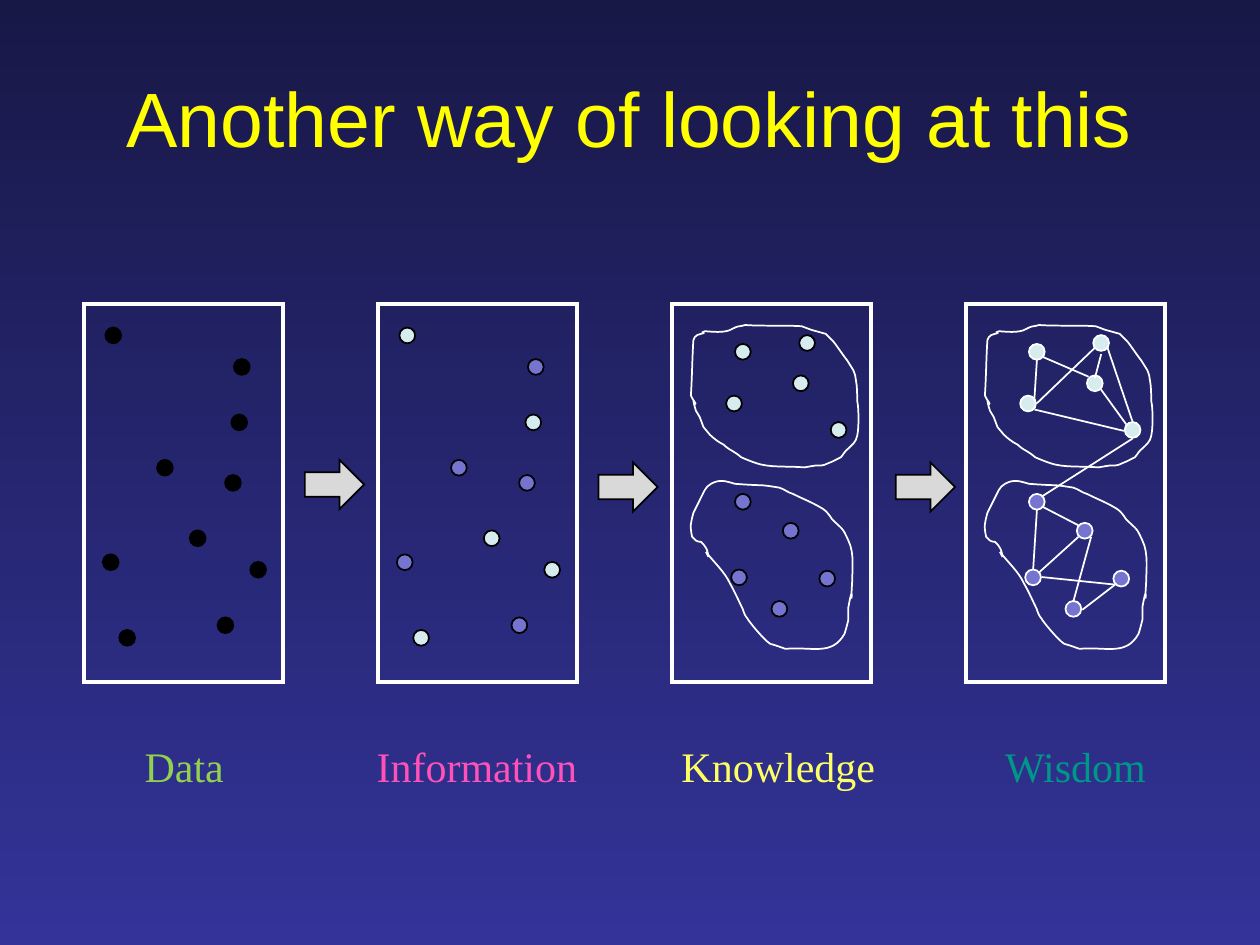
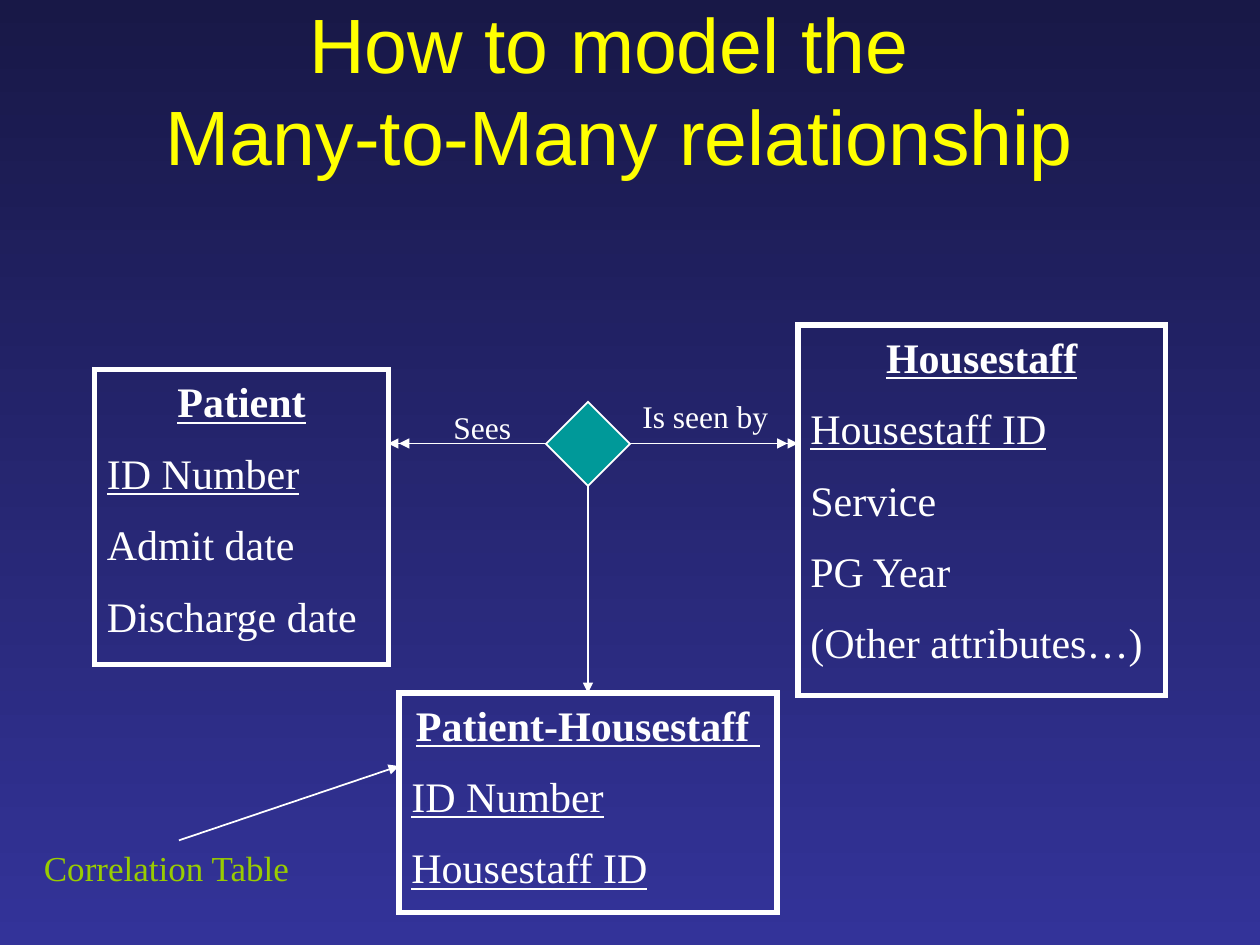
from lxml import etree
from pptx import Presentation
from pptx import util as u
from pptx.dml.color import RGBColor
from pptx.enum import shapes, text
from pptx.oxml import ns

COLORS = {
    "top": "181847", "bottom": "333399", "title": "FFFF00", "white": "FFFFFF",
    "black": "000000", "light": "D6ECEE", "violet": "7575D1", "arrow": "D9D9D9",
    "data": "92D050", "information": "FF51B7", "knowledge": "FDFF65",
    "wisdom": "009688", "diamond": "009999", "note": "99CC00",
}
RGB = {name: RGBColor.from_string(value) for name, value in COLORS.items()}
SHAPE = shapes.MSO_SHAPE
STRAIGHT = shapes.MSO_CONNECTOR.STRAIGHT
CENTER = text.PP_ALIGN.CENTER
LEFT = text.PP_ALIGN.LEFT
TITLE = {"name": "Arial", "size": u.Pt(44)}
BODY = {"name": "Times New Roman", "size": u.Pt(24)}


def style(item, fill, line, width):
    """Set outline, fill and no shadow on a shape or a connector."""
    item.line.color.rgb = RGB[line]
    item.line.width = u.Pt(width)
    stroke = item._element.spPr.find(ns.qn("a:ln"))
    etree.SubElement(stroke, ns.qn("a:miter"), lim="800000")
    if hasattr(item, "fill"):
        item.shadow.inherit = False
        if fill:
            item.fill.solid()
            item.fill.fore_color.rgb = RGB[fill]
        else:
            item.fill.background()
    else:
        etree.SubElement(item._element.spPr, ns.qn("a:effectLst"))


def write(frame, lines, color, wrap=True, gap=0):
    """Fill a text frame with (text, alignment, format) lines."""
    frame.word_wrap = wrap
    for number, (words, align, look) in enumerate(lines):
        par = frame.add_paragraph() if number else frame.paragraphs[0]
        par.alignment = align
        par.line_spacing = u.Pt(look["size"].pt * 1.2)
        par.space_after = u.Pt(gap)
        for row, part in enumerate(words.split("\n")):
            if row:
                par.add_line_break()
            run = par.add_run()
            run.text = part
            run.font.color.rgb = RGB[color]
            for attribute, value in look.items():
                setattr(run.font, attribute, value)


prs = Presentation()
prs.slide_width, prs.slide_height = u.Inches(10), u.Inches(7.5)

# Background and title of both slides
slides = []
for left, top, bottom_inset, heading in [
    (0.5, 0.3, 0.05, "Another way of looking at this"),
    (0.42, 0.45, 0.79, "How to model the \nMany-to-Many relationship"),
]:
    slide = prs.slides.add_slide(prs.slide_layouts[6])
    slides.append(slide)
    backdrop = slide.background.fill
    backdrop.gradient()
    backdrop.gradient_angle = 270
    for stop, shade, place in zip(backdrop.gradient_stops, ("top", "bottom"), (0, 1)):
        stop.color.rgb = RGB[shade]
        stop.position = place
    frame = slide.shapes.add_textbox(
        u.Inches(left), u.Inches(top), u.Inches(9), u.Inches(1.25)).text_frame
    frame.vertical_anchor = text.MSO_ANCHOR.MIDDLE
    frame.margin_bottom = u.Inches(bottom_inset)
    write(frame, [(heading, CENTER, TITLE)], "title")
stages, model = (slide.shapes for slide in slides)

# Stage names
for name, left, width in [("Data", 1.05, 0.84), ("Information", 2.89, 1.81),
                          ("Knowledge", 5.31, 1.75), ("Wisdom", 7.88, 1.33)]:
    label = stages.add_textbox(
        u.Inches(left), u.Inches(5.83), u.Inches(width), u.Inches(0.51))
    write(label.text_frame, [(name, LEFT, BODY)], name.lower(), wrap=False)

# Dots, measured from the left edge of their panel: scattered, then grouped
scattered = [
    (0.17, 2.6, "light"), (1.17, 3.29, "light"), (1.19, 2.85, "violet"),
    (0.58, 3.65, "violet"), (0.15, 4.4, "violet"), (1.32, 4.46, "light"),
    (1.12, 3.77, "violet"), (0.84, 4.21, "light"), (0.28, 5, "light"),
    (1.06, 4.9, "violet"),
]
grouped = [
    (0.5, 2.73, "light"), (1.01, 2.66, "light"), (0.88, 4.15, "violet"),
    (0.47, 4.52, "violet"), (0.79, 4.77, "violet"), (1.26, 3.35, "light"),
    (0.5, 3.92, "violet"), (0.43, 3.14, "light"), (0.96, 2.98, "light"),
    (1.17, 4.53, "violet"),
]

# Group outlines: start, then x, y of a line end or of a curve's three points
upper_group = [
    (0.26, 2.63),
    (0.3, 2.63, 0.42, 2.65, 0.48, 2.61), (0.54, 2.58, 0.51, 2.6, 0.58, 2.58),
    (0.73, 2.59, 0.88, 2.58, 1.03, 2.59), (1.06, 2.6, 1.08, 2.61, 1.11, 2.62),
    (1.15, 2.63, 1.18, 2.64, 1.22, 2.65), (1.24, 2.67, 1.26, 2.69, 1.28, 2.71),
    (1.32, 2.76, 1.35, 2.81, 1.39, 2.86), (1.44, 2.94),
    (1.45, 2.97, 1.46, 2.99, 1.46, 3.02), (1.47, 3.07, 1.47, 3.13, 1.47, 3.18),
    (1.48, 3.23, 1.48, 3.28, 1.48, 3.32), (1.48, 3.37, 1.48, 3.41, 1.47, 3.46),
    (1.46, 3.51, 1.43, 3.53, 1.4, 3.56), (1.37, 3.58, 1.36, 3.61, 1.34, 3.63),
    (1.32, 3.64, 1.3, 3.65, 1.28, 3.66), (1.26, 3.67, 1.23, 3.68, 1.21, 3.69),
    (1.18, 3.7, 1.15, 3.69, 1.11, 3.7), (1.09, 3.7, 1.07, 3.71, 1.05, 3.71),
    (0.94, 3.7, 0.82, 3.71, 0.72, 3.69), (0.66, 3.68, 0.55, 3.63, 0.55, 3.63),
    (0.53, 3.61, 0.51, 3.6, 0.48, 3.58), (0.46, 3.57, 0.43, 3.55, 0.41, 3.53),
    (0.37, 3.51, 0.33, 3.48, 0.3, 3.45), (0.28, 3.43, 0.27, 3.41, 0.25, 3.39),
    (0.24, 3.36, 0.23, 3.34, 0.22, 3.31), (0.21, 3.29, 0.2, 3.28, 0.19, 3.26),
    (0.13, 3.07, 0.24, 3.31, 0.15, 3.14), (0.16, 2.99, 0.16, 2.84, 0.17, 2.7),
    (0.17, 2.68, 0.19, 2.67, 0.2, 2.66), (0.21, 2.65, 0.22, 2.65, 0.23, 2.65),
    (0.28, 2.64, 0.22, 2.64, 0.26, 2.63),
]
lower_group = [
    (0.27, 4.38),
    (0.33, 4.46, 0.42, 4.54, 0.46, 4.63), (0.5, 4.7, 0.53, 4.77, 0.56, 4.83),
    (0.57, 4.86, 0.58, 4.89, 0.6, 4.91), (0.6, 4.92, 0.73, 5.08, 0.78, 5.11),
    (0.82, 5.12, 0.9, 5.15, 0.9, 5.15), (1.11, 5.13, 1.27, 5.21, 1.37, 5.03),
    (1.38, 5, 1.39, 4.96, 1.4, 4.92), (1.4, 4.89, 1.4, 4.85, 1.4, 4.82),
    (1.45, 4.54, 1.41, 4.94, 1.43, 4.62), (1.43, 4.53, 1.45, 4.39, 1.4, 4.29),
    (1.35, 4.18, 1.36, 4.21, 1.27, 4.12), (1.25, 4.09, 1.23, 4.06, 1.2, 4.04),
    (1.12, 3.99, 1.04, 3.96, 0.96, 3.92), (0.92, 3.91, 0.89, 3.88, 0.85, 3.87),
    (0.66, 3.84, 0.77, 3.86, 0.5, 3.84), (0.43, 3.82, 0.38, 3.8, 0.31, 3.84),
    (0.29, 3.85, 0.27, 3.87, 0.26, 3.89), (0.24, 3.93, 0.22, 3.97, 0.2, 4.01),
    (0.17, 4.07), (0.15, 4.15, 0.14, 4.17, 0.16, 4.26),
    (0.17, 4.28, 0.18, 4.28, 0.19, 4.29), (0.2, 4.3, 0.22, 4.3, 0.23, 4.3),
    (0.25, 4.32, 0.26, 4.33, 0.27, 4.35), (0.28, 4.36, 0.29, 4.41, 0.29, 4.42),
    (0.27, 4.38),
]

# Four panels with their dots and outlines
DOT = u.Inches(1 / 8)
panels = [(scattered, "black", "black", []), (scattered, None, "black", []),
          (grouped, None, "black", [upper_group, lower_group]),
          (grouped, None, "white", [upper_group, lower_group])]
for column, (dots, one_fill, rim, outlines) in enumerate(panels):
    edge = (2 + 7 * column) / 3
    panel = stages.add_shape(
        SHAPE.RECTANGLE, u.Inches(edge), u.Inches(29 / 12), u.Inches(19 / 12), u.Inches(3))
    style(panel, None, "white", 2.25)
    for x, y, fill in dots:
        dot = stages.add_shape(SHAPE.OVAL, u.Inches(edge + x), u.Inches(y), DOT, DOT)
        style(dot, one_fill or fill, rim, 1)
    for (start_x, start_y), *segments in outlines:
        pen = stages.build_freeform(u.Inches(edge + start_x), u.Inches(start_y))
        for segment in segments:
            pen.add_line_segments(
                [(u.Inches(edge + x), u.Inches(y))
                 for x, y in zip(segment[::2], segment[1::2])], close=False)
        pen.add_line_segments([], close=True)
        group = pen.convert_to_shape()
        style(group, None, "white", 1)
        # Join each curve's three points into one Bezier step
        steps = iter(list(group._element.spPr.iter(ns.qn("a:lnTo"))))
        for segment in segments:
            first = next(steps)
            if len(segment) == 6:
                curve = etree.Element(ns.qn("a:cubicBezTo"))
                first.addprevious(curve)
                for step in (first, next(steps), next(steps)):
                    curve.append(step[0])
                    step.getparent().remove(step)

# Links between the dots of Wisdom
for x1, y1, x2, y2 in [
    (8.27, 2.83, 8.64, 2.99), (8.74, 2.81, 8.69, 3), (8.23, 2.85, 8.21, 3.16),
    (8.23, 3.2, 8.69, 2.76), (8.79, 2.76, 8.99, 3.35), (8.27, 4.02, 8.56, 4.17),
    (8.73, 3.08, 8.94, 3.37), (8.21, 3.25, 8.92, 3.42), (8.23, 4.04, 8.2, 4.52),
    (8.66, 4.26, 8.52, 4.77), (8.27, 4.58, 8.85, 4.64), (8.59, 4.84, 8.85, 4.64),
    (8.25, 4.54, 8.56, 4.26), (8.27, 3.94, 8.99, 3.48),
]:
    link = stages.add_connector(
        STRAIGHT, u.Inches(x1), u.Inches(y1), u.Inches(x2), u.Inches(y2))
    style(link, None, "white", 1)

# Arrows between the panels
for left, top in [(2.42, 3.65), (4.75, 3.67), (7.11, 3.67)]:
    arrow = stages.add_shape(
        SHAPE.RIGHT_ARROW, u.Inches(left), u.Inches(top), u.Inches(0.47), u.Inches(0.39))
    style(arrow, "arrow", "black", 1)

# Entities: name, keys, other attributes
KEY = {**BODY, "underline": True}
HEADER = {**KEY, "bold": True}
for left, top, width, height, name, keys, others in [
    (0.75, 2.935, 7 / 3, 2.34, "Patient", ["ID Number"], ["Admit date", "Discharge date"]),
    (19 / 3, 2.58, 35 / 12, 2.94, "Housestaff", ["Housestaff ID"],
     ["Service", "PG Year", "(Other attributes…)"]),
    (19 / 6, 5.5, 3, 1.74, "Patient-Housestaff ", ["ID Number", "Housestaff ID"], []),
]:
    entity = model.add_shape(
        SHAPE.RECTANGLE, u.Inches(left), u.Inches(top), u.Inches(width), u.Inches(height))
    style(entity, None, "white", 3)
    entity.text_frame.vertical_anchor = text.MSO_ANCHOR.TOP
    rows = [(name, CENTER, HEADER)]
    rows += [(key, LEFT, KEY) for key in keys]
    rows += [(other, LEFT, BODY) for other in others]
    write(entity.text_frame, rows, "white", gap=12)

# Relationship arrows, with the ends that carry a head
for x1, y1, x2, y2, ends in [
    (3.08, 3.52, 19 / 3, 3.52, ["tailEnd"]),
    (14 / 3, 3.83, 14 / 3, 5.5, ["tailEnd"]),
    (3.08, 3.52, 6.25, 3.52, ["headEnd", "tailEnd"]),
    (13 / 3, 3.52, 19 / 6, 3.52, ["tailEnd"]),
    (1.42, 6.67, 19 / 6, 6.08, ["tailEnd"]),
]:
    relation = model.add_connector(
        STRAIGHT, u.Inches(x1), u.Inches(y1), u.Inches(x2), u.Inches(y2))
    style(relation, None, "white", 1)
    outline = relation._element.spPr.find(ns.qn("a:ln"))
    for end in ends:
        etree.SubElement(outline, ns.qn("a:" + end), type="triangle")

# Relationship diamond
diamond = model.add_shape(
    SHAPE.FLOWCHART_DECISION, u.Inches(13 / 3), u.Inches(3.19), u.Inches(2 / 3), u.Inches(2 / 3))
style(diamond, "diamond", "white", 1)

# Relationship labels and note
for left, top, width, height, words, size, color in [
    (5, 3.1, 1.25, 0.4, "Is seen by", 18, "white"),
    (3.5, 3.19, 0.75, 0.4, "Sees", 18, "white"),
    (0.25, 6.67, 2.5, 0.43, "Correlation Table", 20, "note"),
]:
    label = model.add_textbox(
        u.Inches(left), u.Inches(top), u.Inches(width), u.Inches(height))
    write(label.text_frame, [(words, LEFT, {**BODY, "size": u.Pt(size)})], color)

prs.save("out.pptx")
